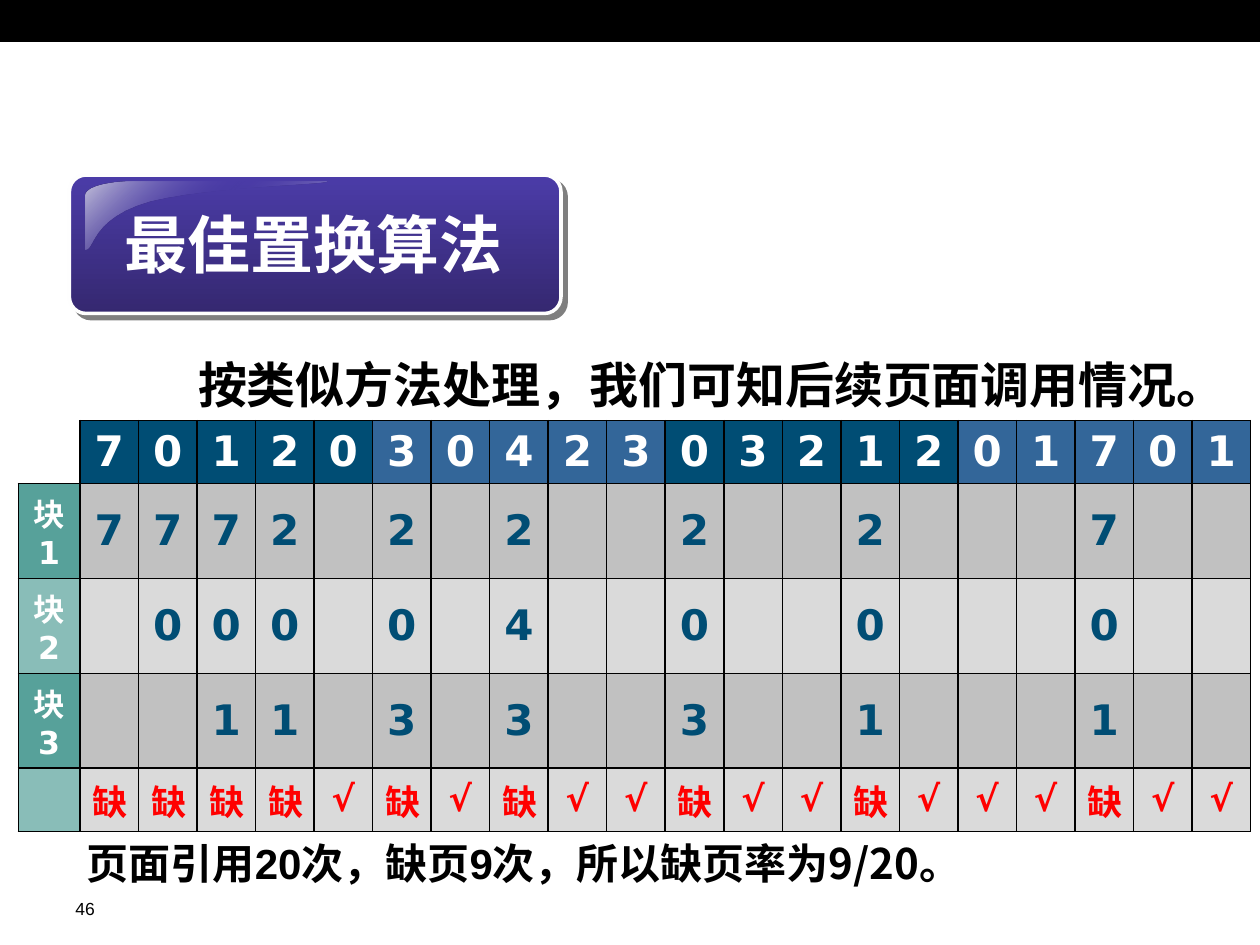
import pptx
import pptx.util
import pptx.dml.color
import pptx.enum.shapes
import pptx.enum.text
import pptx.oxml
import pptx.oxml.ns

Cm = pptx.util.Cm
Pt = pptx.util.Pt
RGBColor = pptx.dml.color.RGBColor
CENTER = pptx.enum.text.PP_ALIGN.CENTER
MIDDLE = pptx.enum.text.MSO_ANCHOR.MIDDLE
TOP = pptx.enum.text.MSO_ANCHOR.TOP

BLACK = RGBColor(0x00, 0x00, 0x00)
WHITE = RGBColor(0xFF, 0xFF, 0xFF)
RED = RGBColor(0xFF, 0x00, 0x00)
NAVY = RGBColor(0x00, 0x4D, 0x74)
BLUE = RGBColor(0x33, 0x66, 0x99)
TEAL = RGBColor(0x57, 0xA1, 0x9A)
GRAY = RGBColor(0xB2, 0xB2, 0xB2)
PURPLE = RGBColor(0x4B, 0x3C, 0xA8)
DARK_PURPLE = RGBColor(0x35, 0x28, 0x70)
BUTTON_EDGE = RGBColor(0xFE, 0xFE, 0xFE)
GLOSS = RGBColor(0xC4, 0xC2, 0xDA)

EAST_ASIAN_FONT = "Noto Sans CJK JP"
NAMESPACE = pptx.oxml.ns.nsdecls("a")


def add_run(paragraph, text, color, **font_values):
    run = paragraph.add_run()
    run.text = text
    for name, value in font_values.items():
        setattr(run.font, name, value)
    run.font.color.rgb = color
    run.font._element.append(pptx.oxml.parse_xml(
        f'<a:ea {NAMESPACE} typeface="{EAST_ASIAN_FONT}"/>'))


def set_cell_border(cell, sides):
    for side in ("L", "R", "T", "B"):
        paint = ('<a:solidFill><a:srgbClr val="000000"/></a:solidFill>'
                 if side in sides else "<a:noFill/>")
        cell._tc.get_or_add_tcPr().append(pptx.oxml.parse_xml(
            f'<a:ln{side} {NAMESPACE} w="12700">{paint}</a:ln{side}>'))


presentation = pptx.Presentation()
presentation.slide_width = Cm(25.4)
presentation.slide_height = Cm(19.05)
slide = presentation.slides.add_slide(presentation.slide_layouts[6])

# Black band at the top
band = slide.shapes.add_shape(
    pptx.enum.shapes.MSO_SHAPE.RECTANGLE, Cm(0), Cm(0.02), Cm(25.4), Cm(0.81))
band.shadow.inherit = False
band.fill.solid()
band.fill.fore_color.rgb = BLACK
band.line.color.rgb = BLACK
band.line.width = Pt(0.75)

# Page table: reference string, three blocks, fault marks
rows = [
    ("", "70120304230321201701"),
    ("块1", "7772-2-2--2--2---7--"),
    ("块2", "-000-0-4--0--0---0--"),
    ("块3", "--11-3-3--3--1---1--"),
    ("", "缺缺缺缺√缺√缺√√缺√√缺√√√缺√√"),
]
row_heights = [1.27, 1.78, 1.78, 1.78, 1.09]
table = slide.shapes.add_table(
    5, 21, Cm(0.37), Cm(8.48), Cm(24.8), Cm(sum(row_heights))).table
table.first_row = False
table.horz_banding = False
for column in table.columns:
    column.width = Cm(1.18)
table.columns[0].width = Cm(1.24)

for row, (label, symbols) in enumerate(rows):
    table.rows[row].height = Cm(row_heights[row])
    light = row in (2, 4)
    for column, text in enumerate([label, *symbols]):
        cell = table.cell(row, column)
        cell.vertical_anchor = MIDDLE
        if row == column == 0:
            set_cell_border(cell, "RB")
            cell.fill.background()
            continue
        set_cell_border(cell, "LRTB")

        color, size, opacity = NAVY, 24, 100
        if column == 0:
            fill, color, size = TEAL, WHITE, 18
            opacity = 70 if light else 100
        elif row == 0:
            fill, color = (NAVY, BLUE)[(column - 1) // 5 % 2], WHITE
        else:
            fill, opacity = GRAY, 48 if light else 80
            if row == 4:
                color, size = RED, 20
        cell.fill.solid()
        cell.fill.fore_color.rgb = fill
        if opacity < 100:
            cell._tc.tcPr.find(".//" + pptx.oxml.ns.qn("a:solidFill") + "[last()]")
            cell._tc.tcPr[-1][0].append(pptx.oxml.parse_xml(
                f'<a:alpha {NAMESPACE} val="{opacity * 1000}"/>'))
        if text not in ("", "-"):
            paragraph = cell.text_frame.paragraphs[0]
            paragraph.alignment = CENTER
            add_run(paragraph, text, color, size=Pt(size), bold=True, name="DejaVu Sans")

# Title button with its gloss
group = slide.shapes.add_group_shape()
button = group.shapes.add_shape(
    pptx.enum.shapes.MSO_SHAPE.ROUNDED_RECTANGLE, Cm(1.4), Cm(3.53), Cm(9.91), Cm(2.79))
button.adjustments[0] = 0.12
button.fill.gradient()
button.fill.gradient_angle = 270
for stop, color in zip(button.fill.gradient_stops, (PURPLE, DARK_PURPLE)):
    stop.color.rgb = color
button.line.color.rgb = BUTTON_EDGE
button.line.width = Pt(2)
button.shadow.inherit = False
button._element.spPr.find(pptx.oxml.ns.qn("a:effectLst")).append(pptx.oxml.parse_xml(
    f'<a:outerShdw {NAMESPACE} blurRad="0" dist="53340" dir="2700000">'
    '<a:srgbClr val="000000"><a:alpha val="50000"/></a:srgbClr></a:outerShdw>'))

# Gloss outline: cubic curves in centimetres, sampled into short segments
curves = [
    [(2.69, 3.66), (2.16, 3.66), (1.73, 3.78), (1.73, 3.94)],
    [(1.73, 5.03), (1.93, 5.05), (1.83, 4.39), (3.05, 4.06)],
    [(3.05, 4.06), (4.29, 3.76), (6.65, 3.73), (6.6, 3.66)],
]
outline = []
for curve in curves:
    for step in range(13):
        t = step / 12
        weights = ((1 - t) ** 3, 3 * t * (1 - t) ** 2, 3 * t ** 2 * (1 - t), t ** 3)
        outline.append(tuple(
            round(1000 * sum(w * point[axis] for w, point in zip(weights, curve)))
            for axis in (0, 1)))
builder = group.shapes.build_freeform(*outline[0], scale=Cm(1) / 1000)
builder.add_line_segments(outline[1:], close=True)
gloss = builder.convert_to_shape()
gloss.shadow.inherit = False
gloss.line.fill.background()
gloss.fill.gradient()
gloss.fill.gradient_angle = 315
for stop in gloss.fill.gradient_stops:
    stop.color.rgb = GLOSS
stop_list = gloss._element.spPr.find(".//" + pptx.oxml.ns.qn("a:gsLst"))
stop_list.insert(1, pptx.oxml.parse_xml(
    f'<a:gs {NAMESPACE} pos="50000"><a:srgbClr val="{PURPLE}">'
    '<a:alpha val="0"/></a:srgbClr></a:gs>'))

# Text boxes: position, wrapping, anchor, alignment, size, bold, color, runs
text_boxes = [
    ((1.63, 4.01, 9.4, 1.78), True, TOP, CENTER, 36, True, WHITE,
     [("最佳置换算法", "Arial")]),
    ((1.5, 16.76, 22.91, 1.27), True, TOP, None, 24, True, BLACK,
     [("页面引用20次，缺页9次，所以", "Arial"), ("缺页率为9/20。", EAST_ASIAN_FONT)]),
    ((3.3, 6.93, 22.1, 1.6), False, MIDDLE, CENTER, 28, True, BLACK,
     [("按类似方法处理，我们可知后续页面调用情况。", "Arial")]),
    ((1.27, 17.98, 1.7, 0.64), True, TOP, None, 10, False, BLACK,
     [("46", "Arial")]),
]
for position, wrap, anchor, alignment, size, bold, color, runs in text_boxes:
    text_frame = slide.shapes.add_textbox(*map(Cm, position)).text_frame
    text_frame.word_wrap = wrap
    text_frame.vertical_anchor = anchor
    paragraph = text_frame.paragraphs[0]
    paragraph.alignment = alignment
    for text, font_name in runs:
        add_run(paragraph, text, color, size=Pt(size), bold=bold, name=font_name)

presentation.save("out.pptx")
